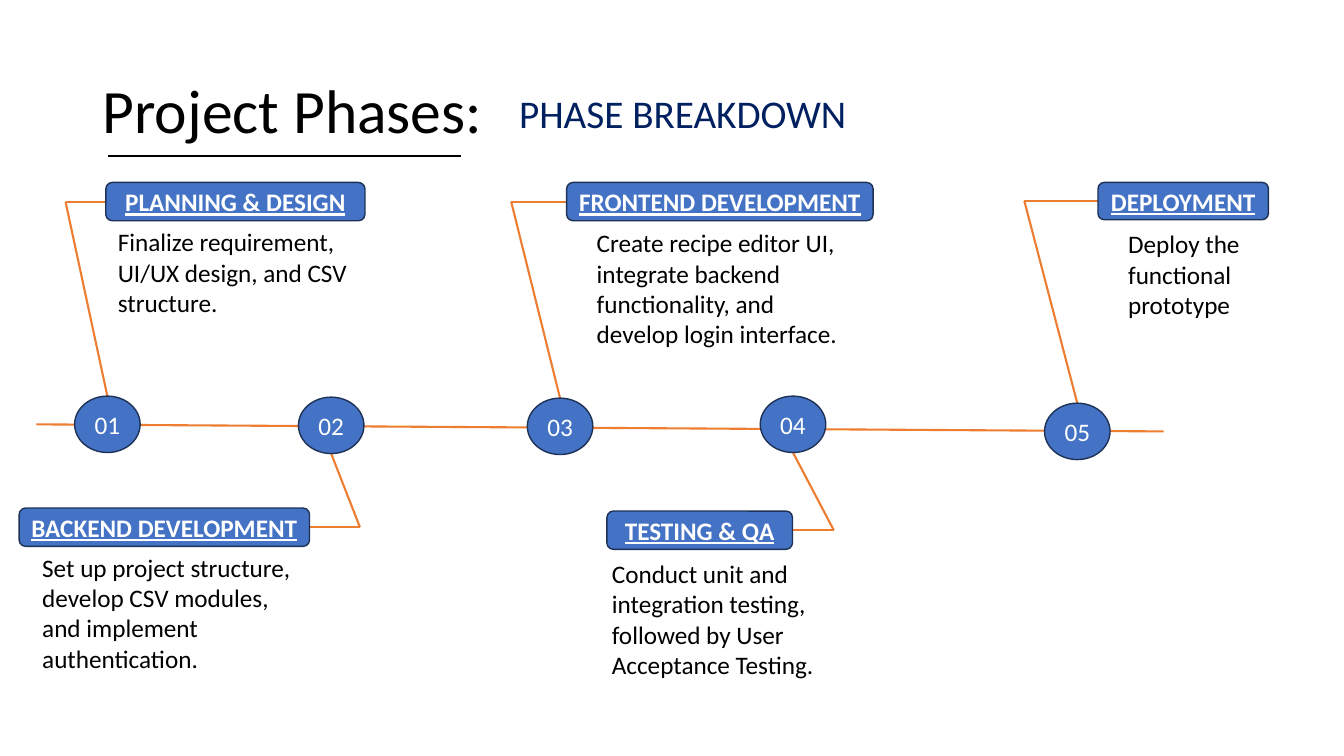
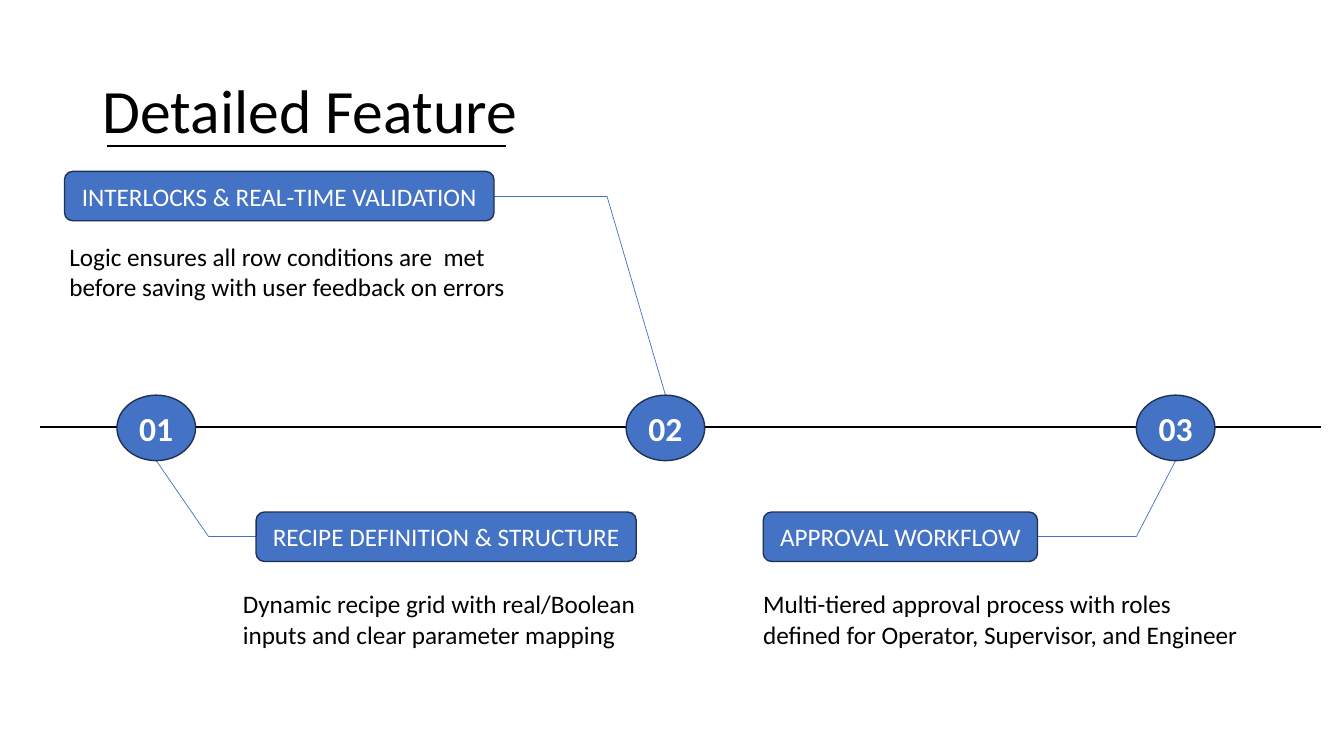
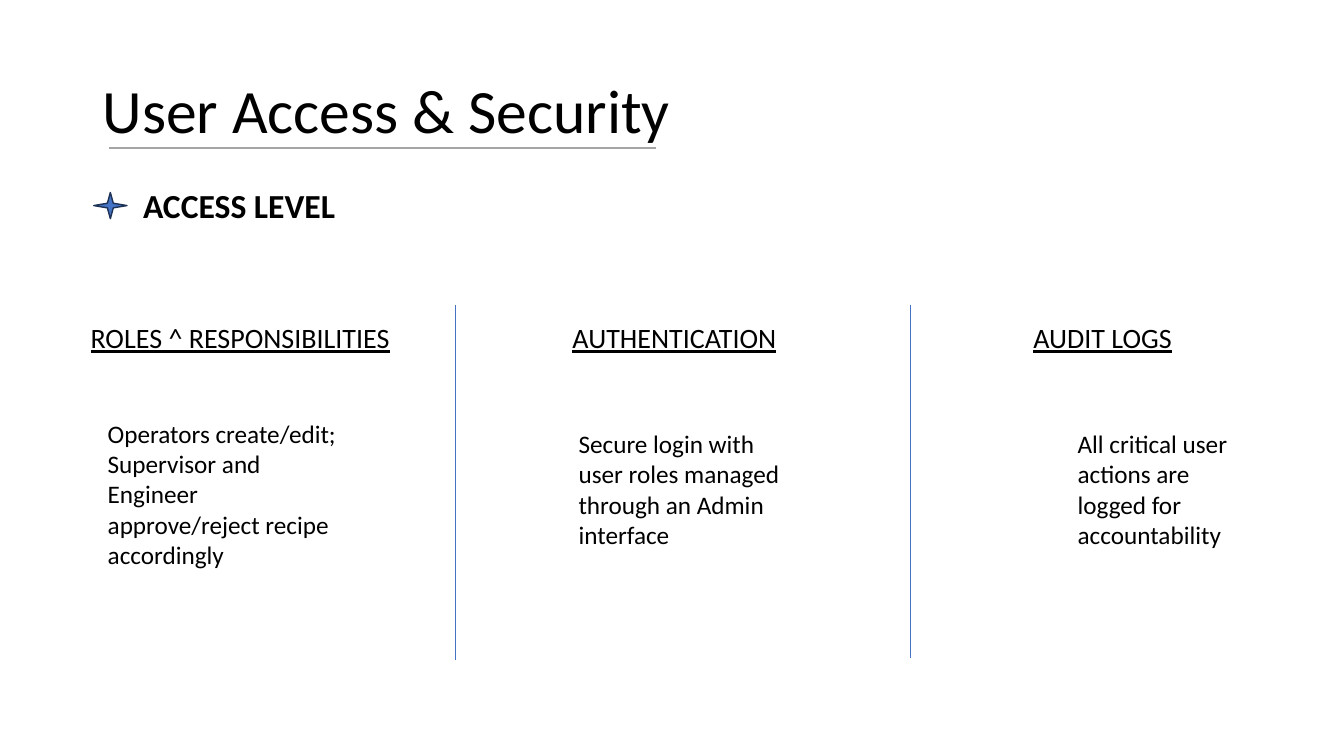
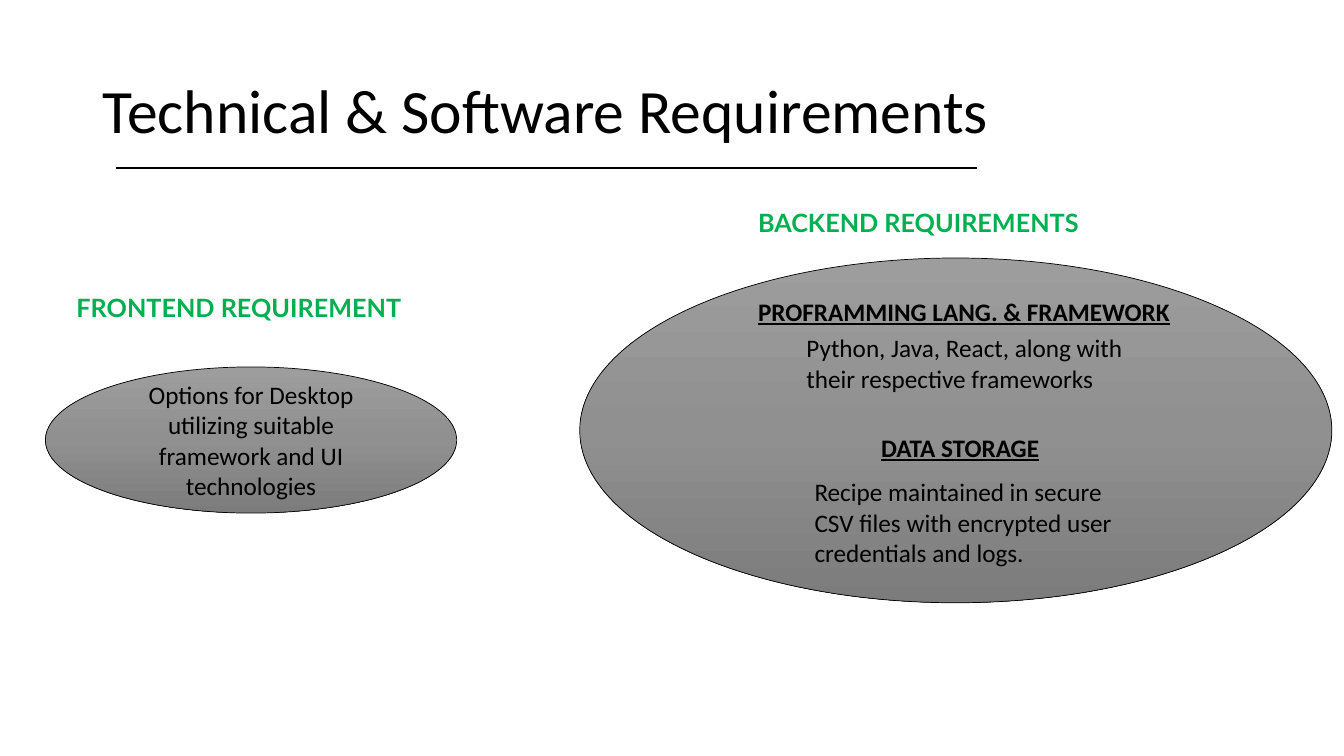
from copy import deepcopy
from dataclasses import dataclass

from pptx import Presentation, util as u
from pptx.dml.color import RGBColor
from pptx.enum import shapes, text
from pptx.oxml.ns import qn
from pptx.oxml.xmlchemy import OxmlElement

SHAPE = shapes.MSO_SHAPE
ANCHOR = text.MSO_ANCHOR
ALIGN = text.PP_ALIGN


@dataclass(frozen=True)
class Theme:
    font: str = "Calibri"
    heading_font: str = "Lato"
    black: str = "000000"
    white: str = "FFFFFF"
    navy: str = "002060"
    blue: str = "4472C4"
    outline: str = "1E3256"
    orange: str = "ED7D31"
    gray: str = "A5A5A5"
    green: str = "00B050"
    gradient: tuple = ((0, "9D9D9D"), (0.5, "909090"), (1, "7C7C7C"))
    title: int = 44
    subtitle: int = 28
    section: int = 24
    heading: int = 20
    body: int = 18
    thick: float = 1.5
    edge: float = 1
    thin: float = 0.5


T = Theme()


@dataclass(frozen=True)
class Step:
    """A numbered node with its label, its elbow and its description."""
    number: str
    node: tuple     # left, top
    label: str
    box: tuple      # left, top, width, height
    elbow: float    # x where the leader turns
    body: str
    area: tuple     # left, top, width, height


@dataclass(frozen=True)
class StepStyle:
    node_size: tuple
    node_text: dict
    label_text: dict
    leader: tuple   # colour, width


# Elements
def rgb(value):
    return RGBColor.from_string(value)


def inches(values):
    return [u.Inches(v) for v in values]


def add_run(tf, content, size=T.body, color=T.black, font=T.font,
            bold=False, underline=False, align=None):
    p = tf.paragraphs[0]
    p.alignment = align
    r = p.add_run()
    r.text = content
    r.font.name, r.font.size = font, u.Pt(size)
    r.font.color.rgb = rgb(color)
    r.font.bold, r.font.underline = bold, underline
    return p


def add_text(s, at, content, **style):
    tf = s.shapes.add_textbox(*inches(at)).text_frame
    tf.word_wrap = True
    add_run(tf, content, **style)
    return tf


def add_line(s, start, end, color=T.black, width=T.thick):
    c = s.shapes.add_connector(shapes.MSO_CONNECTOR.STRAIGHT,
                               *inches((*start, *end)))
    c.line.color.rgb, c.line.width = rgb(color), u.Pt(width)
    c._element.spPr.append(OxmlElement("a:effectLst"))


def add_shape(s, kind, at, content=None, line=T.outline, width=T.edge, **style):
    sp = s.shapes.add_shape(kind, *inches(at))
    sp.shadow.inherit = False
    sp.fill.solid()
    sp.fill.fore_color.rgb = rgb(T.blue)
    sp.line.color.rgb, sp.line.width = rgb(line), u.Pt(width)
    if content:
        tf = sp.text_frame
        tf.word_wrap, tf.vertical_anchor = True, ANCHOR.MIDDLE
        add_run(tf, content, align=ALIGN.CENTER, **style)
    return sp


def add_gradient_ellipse(s, at, content=None):
    sp = add_shape(s, SHAPE.OVAL, at, content, T.black, T.thin)
    sp.fill.gradient()
    sp.fill.gradient_angle = 270
    # The default gradient has two stops; a third is needed
    stops = sp._element.spPr.find(qn("a:gradFill")).find(qn("a:gsLst"))
    stops.append(deepcopy(stops[0]))
    for stop, (position, color) in zip(sp.fill.gradient_stops, T.gradient):
        stop.position, stop.color.rgb = position, rgb(color)


def add_step(s, step, style):
    x, y = step.node
    w, h = style.node_size
    left, top, width, height = step.box
    middle = top + height / 2
    # Leader: node, elbow, nearer side of the label
    start = (x + w / 2, y if middle < y else y + h)
    elbow = (step.elbow, middle)
    side = (left if step.elbow < left else left + width, middle)
    add_line(s, start, elbow, *style.leader)
    add_line(s, elbow, side, *style.leader)
    add_shape(s, SHAPE.FLOWCHART_CONNECTOR, (x, y, w, h), step.number,
              **style.node_text)
    add_shape(s, SHAPE.ROUNDED_RECTANGLE, step.box, step.label,
              **style.label_text)
    add_text(s, step.area, step.body)


def add_slide(prs, title, rule, color=T.black):
    """Blank slide with its title and the rule (left, right, y) below it."""
    s = prs.slides.add_slide(prs.slide_layouts[6])
    tf = add_text(s, (0.92, 0.4, 11.5, 1.45), title, size=T.title)
    tf.vertical_anchor = ANCHOR.MIDDLE
    tf.paragraphs[0].line_spacing = 0.9
    left, right, y = rule
    add_line(s, (left, y), (right, y), color)
    return s


# Slides
def phases_slide(prs):
    s = add_slide(prs, "Project Phases:", (1.07, 4.57, 1.55))
    add_text(s, (5.05, 0.84, 3.73, 0.57), "PHASE BREAKDOWN",
             size=T.subtitle, color=T.navy)
    add_line(s, (0.36, 4.21), (11.54, 4.28), T.orange)
    style = StepStyle((0.65, 0.56), dict(color=T.white),
                      dict(color=T.white, bold=True, underline=True),
                      (T.orange, T.thick))
    for step in (
        Step("01", (0.74, 3.93), "PLANNING & DESIGN", (1.05, 1.81, 2.57, 0.38), 0.65,
             "Finalize requirement, UI/UX design, and CSV structure.",
             (1.07, 2.2, 2.75, 1.01)),
        Step("02", (2.96, 3.94), "BACKEND DEVELOPMENT", (0.19, 5.04, 2.88, 0.38), 3.57,
             "Set up project structure, develop CSV modules, and implement authentication.",
             (0.32, 5.43, 2.75, 1.31)),
        Step("03", (5.23, 3.95), "FRONTEND DEVELOPMENT", (5.62, 1.81, 3.04, 0.38), 5.07,
             "Create recipe editor UI, integrate backend functionality, "
             "and develop login interface.",
             (5.82, 2.21, 2.75, 1.31)),
        Step("04", (7.54, 3.93), "TESTING & QA", (6.02, 5.07, 1.84, 0.38), 8.27,
             "Conduct unit and integration testing, followed by User Acceptance Testing.",
             (5.97, 5.49, 2.75, 1.31)),
        Step("05", (10.36, 4), "DEPLOYMENT", (10.89, 1.81, 1.69, 0.37), 10.16,
             "Deploy the functional prototype", (11.09, 2.22, 2.08, 1.01)),
    ):
        add_step(s, step, style)


def features_slide(prs):
    s = add_slide(prs, "Detailed Feature", (1.06, 5.02, 1.45))
    add_line(s, (0.4, 4.24), (13.1, 4.24))
    style = StepStyle((0.78, 0.65),
                      dict(size=T.section, color=T.white, bold=True),
                      dict(color=T.white), (T.blue, T.thin))
    for step in (
        Step("01", (1.16, 3.92), "RECIPE DEFINITION & STRUCTURE",
             (2.54, 5.08, 3.77, 0.49), 2.07,
             "Dynamic recipe grid with real/Boolean inputs and clear parameter mapping",
             (2.31, 5.79, 4.53, 0.71)),
        Step("02", (6.21, 3.92), "INTERLOCKS & REAL-TIME VALIDATION",
             (0.64, 1.7, 4.26, 0.49), 6.02,
             "Logic ensures all row conditions are  met before saving "
             "with user feedback on errors",
             (0.59, 2.34, 4.53, 0.71)),
        Step("03", (11.27, 3.92), "APPROVAL WORKFLOW",
             (7.57, 5.08, 2.72, 0.49), 11.27,
             "Multi-tiered approval process with roles defined for "
             "Operator, Supervisor, and Engineer",
             (7.47, 5.79, 4.95, 0.71)),
    ):
        add_step(s, step, style)


def access_slide(prs):
    s = add_slide(prs, "User Access & Security", (1.08, 6.51, 1.47), T.gray)
    add_shape(s, SHAPE.STAR_4_POINT, (0.93, 1.91, 0.33, 0.26))
    add_text(s, (1.32, 1.79, 2.25, 0.5), "ACCESS LEVEL",
             size=T.section, bold=True)
    # Column dividers
    for x, bottom in ((4.52, 6.55), (9.03, 6.53)):
        add_line(s, (x, 3.03), (x, bottom), T.blue, T.thin)
    # Columns: heading left and width, then the text below
    for left, width, heading, area, body in (
        (0.8, 3.17, "ROLES ^ RESPONSIBILITIES", (0.97, 4.1, 2.6, 1.62),
         "Operators create/edit; Supervisor and Engineer "
         "approve/reject recipe accordingly"),
        (5.58, 2.33, "AUTHENTICATION", (5.64, 4.2, 2.33, 1.31),
         "Secure login with user roles managed through an Admin interface"),
        (10.15, 1.78, "AUDIT LOGS", (10.59, 4.2, 2, 1.31),
         "All critical user actions are logged for accountability"),
    ):
        add_text(s, (left, 3.13, width, 0.44), heading,
                 size=T.heading, underline=True)
        add_text(s, area, body)


def requirements_slide(prs):
    s = add_slide(prs, "Technical & Software Requirements", (1.15, 9.69, 1.67))
    # Group headings
    for left, top, heading in ((0.66, 2.85, "FRONTEND REQUIREMENT"),
                               (7.42, 2.01, "BACKEND REQUIREMENTS")):
        add_text(s, (left, top, 3.95, 0.4), heading,
                 color=T.green, font=T.heading_font, bold=True)
    add_gradient_ellipse(s, (0.45, 3.64, 4.08, 1.45),
                         "Options for Desktop utilizing suitable framework "
                         "and UI technologies")
    add_gradient_ellipse(s, (5.75, 2.56, 7.46, 3.42))
    # Backend topics
    for at, heading, area, body in (
        ((7.42, 2.89, 4.46, 0.4), "PROFRAMMING LANG. & FRAMEWORK",
         (7.9, 3.25, 3.82, 1.01),
         "Python, Java, React, along with their respective frameworks"),
        ((8.64, 4.24, 1.86, 0.4), "DATA STORAGE", (7.98, 4.68, 3.39, 1.31),
         "Recipe maintained in secure CSV files with encrypted user "
         "credentials and logs."),
    ):
        add_text(s, at, heading, bold=True, underline=True)
        add_text(s, area, body)


def main():
    prs = Presentation()
    prs.slide_width, prs.slide_height = inches((13.33, 7.5))
    phases_slide(prs)
    features_slide(prs)
    access_slide(prs)
    requirements_slide(prs)
    prs.save("out.pptx")


if __name__ == "__main__":
    main()
